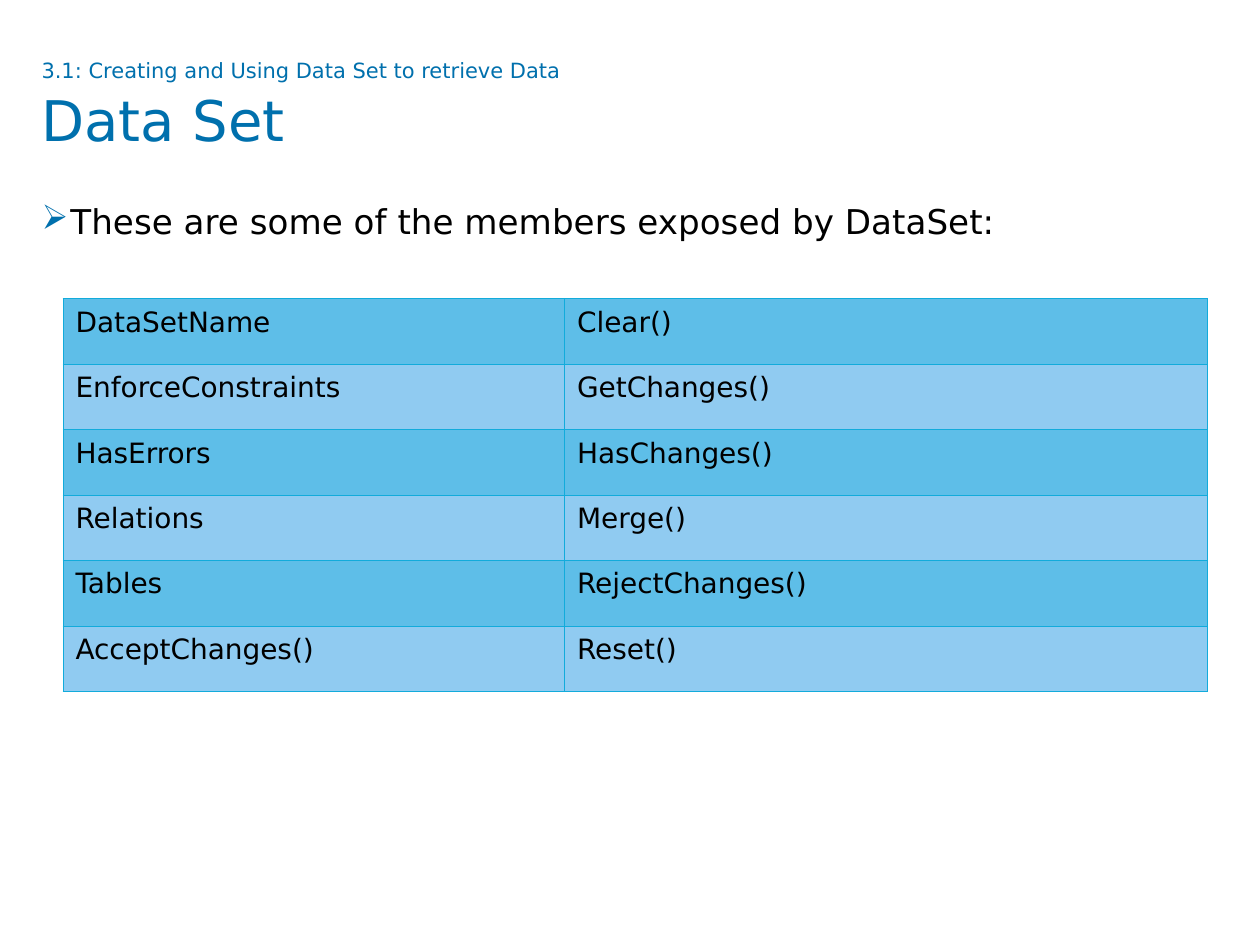
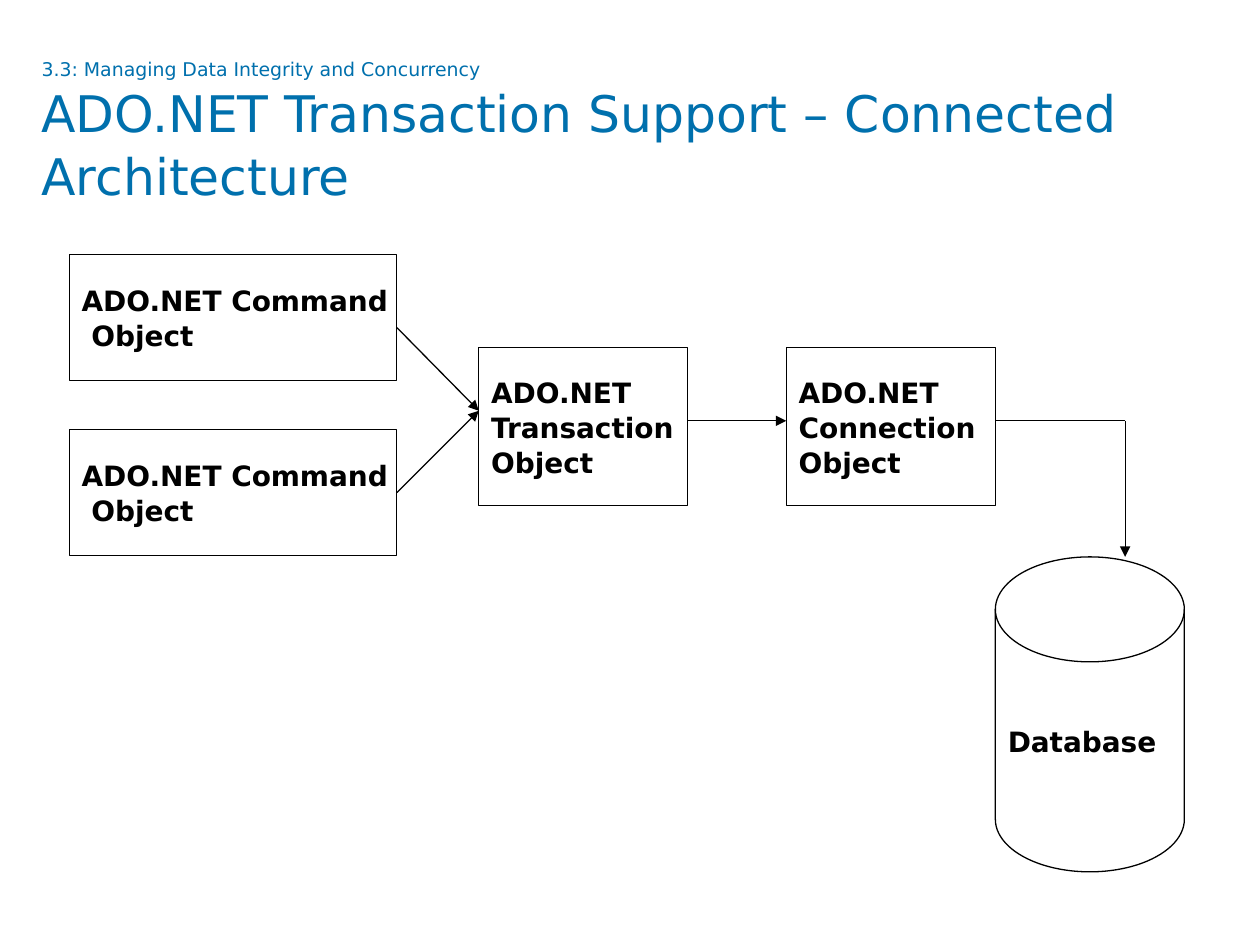
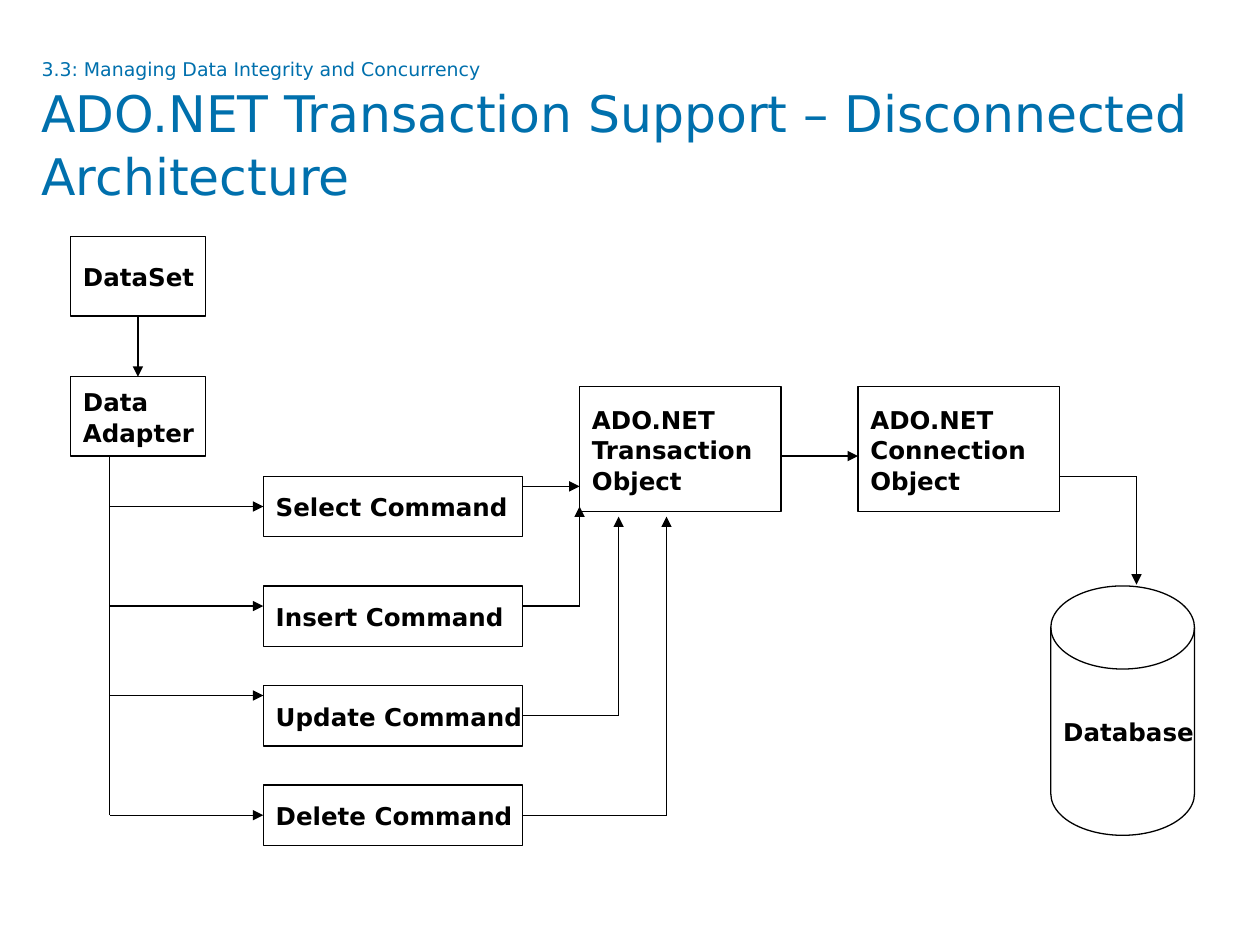
from lxml.etree import SubElement
from pptx import Presentation
from pptx.dml.color import RGBColor
from pptx.enum.shapes import MSO_CONNECTOR, MSO_SHAPE
from pptx.enum.text import MSO_ANCHOR, PP_ALIGN
from pptx.oxml.ns import qn
from pptx.util import Inches, Pt

FONT = "DejaVu Sans"
BLACK, WHITE, TITLE_BLUE = "000000", "FFFFFF", "0070AD"
BORDER_BLUE, ROW_DARK, ROW_LIGHT = "12ABDB", "5EBEE8", "90CBF1"
LINE_WIDTH = Pt(0.75)
LINE_SPACING = 1.04
TOP, LEFT, BOTTOM, RIGHT = range(4)  # connection sites


def color(hex_string):
    return RGBColor.from_string(hex_string)


class Deck:
    def __init__(self):
        self.presentation = Presentation()
        self.presentation.slide_width = Inches(10)
        self.presentation.slide_height = Inches(7.5)
        self.slide = None

    def style_font(self, font, size, hex_color=BLACK, bold=False):
        font.name, font.size, font.bold = FONT, Pt(size), bold
        font.color.rgb = color(hex_color)

    def text_frame(self, left, top, width, height):
        box = self.slide.shapes.add_textbox(
            Inches(left), Inches(top), Inches(width), Inches(height))
        frame = box.text_frame
        frame.word_wrap = True
        frame.margin_left = frame.margin_right = 0
        frame.margin_top = frame.margin_bottom = 0
        return frame

    def new_slide(self, section, title, section_size, title_size):
        """Add a blank slide with its section line and title."""
        self.slide = self.presentation.slides.add_slide(
            self.presentation.slide_layouts[6])
        paragraph = self.text_frame(0.33, 0.45, 9.33, 0.94).paragraphs[0]
        paragraph.line_spacing = LINE_SPACING
        section_run = paragraph.add_run()
        section_run.text = section
        self.style_font(section_run.font, section_size, TITLE_BLUE)
        paragraph.add_line_break()
        title_run = paragraph.add_run()
        title_run.text = title
        self.style_font(title_run.font, title_size, TITLE_BLUE)

    def bullet(self, text, left, top, width, height):
        paragraph = self.text_frame(left, top, width, height).paragraphs[0]
        paragraph.text = text
        paragraph.alignment = PP_ALIGN.JUSTIFY
        paragraph.line_spacing = 0.9
        paragraph.space_before = Pt(7.5)
        self.style_font(paragraph.font, 19.5)
        properties = paragraph._p.get_or_add_pPr()
        properties.set("marL", str(Inches(0.23)))
        properties.set("indent", str(-Inches(0.23)))
        bullet_color = properties.makeelement(qn("a:buClr"), {})
        SubElement(bullet_color, qn("a:srgbClr"), val=TITLE_BLUE)
        character = properties.makeelement(qn("a:buChar"), {"char": "➢"})
        default_run = properties.find(qn("a:defRPr"))
        default_run.addprevious(bullet_color)
        default_run.addprevious(character)

    def table(self, rows, left, top, column_widths, row_height):
        table = self.slide.shapes.add_table(
            len(rows), len(column_widths), Inches(left), Inches(top),
            Inches(sum(column_widths)), Inches(row_height * len(rows))).table
        table.first_row = table.horz_banding = False
        for column, width in zip(table.columns, column_widths):
            column.width = Inches(width)
        for row_index, values in enumerate(rows):
            for column_index, value in enumerate(values):
                cell = table.cell(row_index, column_index)
                cell.text = value
                paragraph = cell.text_frame.paragraphs[0]
                paragraph.line_spacing = LINE_SPACING
                self.style_font(paragraph.font, 16)
                self.cell_borders(cell)
                cell.fill.solid()
                cell.fill.fore_color.rgb = color(
                    ROW_LIGHT if row_index % 2 else ROW_DARK)

    def cell_borders(self, cell):
        properties = cell._tc.get_or_add_tcPr()
        for side in ("a:lnL", "a:lnR", "a:lnT", "a:lnB"):
            border = SubElement(properties, qn(side), w=str(Pt(0.5)))
            fill = SubElement(border, qn("a:solidFill"))
            SubElement(fill, qn("a:srgbClr"), val=BORDER_BLUE)

    def box(self, lines, left, top, width, height, size,
            preset=MSO_SHAPE.RECTANGLE):
        """Add an outlined shape with one bold paragraph per line."""
        shape = self.slide.shapes.add_shape(
            preset, Inches(left), Inches(top), Inches(width), Inches(height))
        shape.shadow.inherit = False
        shape.fill.solid()
        shape.fill.fore_color.rgb = color(WHITE)
        shape.line.color.rgb = color(BLACK)
        shape.line.width = LINE_WIDTH
        frame = shape.text_frame
        frame.word_wrap = False
        frame.vertical_anchor = MSO_ANCHOR.MIDDLE
        frame.text = "\n".join(lines)
        for paragraph in frame.paragraphs:
            paragraph.alignment = PP_ALIGN.LEFT
            paragraph.line_spacing = LINE_SPACING
            self.style_font(paragraph.font, size, bold=True)
        return shape

    def database(self, left, top, width, height, size):
        self.box(["Database"], left, top, width, height, size,
                 MSO_SHAPE.FLOWCHART_MAGNETIC_DISK)

    def line(self, start, end, arrow=True, begin=None, finish=None):
        """Draw a line; begin and finish are optional (shape, site) joins."""
        connector = self.slide.shapes.add_connector(
            MSO_CONNECTOR.STRAIGHT, *(Inches(value) for value in start + end))
        connector.line.color.rgb = color(BLACK)
        connector.line.width = LINE_WIDTH
        if arrow:
            SubElement(connector.line._get_or_add_ln(), qn("a:tailEnd"),
                       type="triangle")
        SubElement(connector._element.spPr, qn("a:effectLst"))
        if begin:
            connector.begin_connect(*begin)
        if finish:
            connector.end_connect(*finish)

    def elbow(self, start, corner, end, begin=None):
        self.line(start, corner, arrow=False, begin=begin)
        self.line(corner, end)


def add_members_slide(deck):
    deck.new_slide("3.1: Creating and Using Data Set to retrieve Data",
                   "Data Set", 12, 32)
    deck.bullet("These are some of the members exposed by DataSet:",
                0.33, 1.63, 9.34, 5.08)
    members = [
        ("DataSetName", "Clear()"),
        ("EnforceConstraints", "GetChanges()"),
        ("HasErrors", "HasChanges()"),
        ("Relations", "Merge()"),
        ("Tables", "RejectChanges()"),
        ("AcceptChanges()", "Reset()"),
    ]
    deck.table(members, 0.5, 2.37, (3.98, 5.1), 0.52)


def add_transaction_slide(deck, architecture):
    deck.new_slide("3.3: Managing Data Integrity and Concurrency",
                   f"ADO.NET Transaction Support – {architecture} Architecture",
                   10.8, 28.8)


def add_connected_slide(deck):
    add_transaction_slide(deck, "Connected")

    # Objects
    for top in (2.02, 3.41):
        deck.box(["ADO.NET Command", " Object"], 0.55, top, 2.6, 1, 16)
    for name, left in (("Transaction", 3.8), ("Connection", 6.24)):
        deck.box(["ADO.NET", name, "Object"], left, 2.76, 1.66, 1.25, 16)
    deck.database(7.9, 4.42, 1.5, 2.5, 16)

    # Flow
    for command_y in (2.6, 3.91):
        deck.line((3.15, command_y), (3.8, 3.26))
    deck.line((5.46, 3.34), (6.24, 3.34))
    deck.elbow((7.9, 3.34), (8.93, 3.34), (8.93, 4.42))


def add_disconnected_slide(deck):
    add_transaction_slide(deck, "Disconnected")

    # Objects
    data_set = deck.box(["DataSet"], 0.56, 1.88, 1.07, 0.63, 14)
    adapter = deck.box(["Data", "Adapter"], 0.56, 2.99, 1.07, 0.63, 14)
    for name, left in (("Transaction", 4.6), ("Connection", 6.81)):
        deck.box(["ADO.NET", name, "Object"], left, 3.07, 1.6, 0.99, 14)
    deck.database(8.34, 4.65, 1.14, 1.98, 14)
    command_tops = {"Select": 3.78, "Insert": 4.65, "Update": 5.44, "Delete": 6.23}
    commands = {
        name: deck.box([f"{name} Command"], 2.09, top, 2.06, 0.48, 14)
        for name, top in command_tops.items()}

    # Adapter to commands
    deck.line((1.1, 2.51), (1.1, 2.99), begin=(data_set, BOTTOM),
              finish=(adapter, TOP))
    bus_x = 0.87
    deck.line((bus_x, 3.62), (bus_x, 6.47), arrow=False)
    for name, y in (("Select", 4.02), ("Insert", 4.81),
                    ("Update", 5.52), ("Delete", 6.47)):
        centered = name in ("Select", "Delete")
        deck.line((bus_x, y), (2.09, y),
                  finish=(commands[name], LEFT) if centered else None)

    # Commands to transaction
    deck.line((4.15, 3.86), (4.6, 3.86))
    deck.elbow((4.15, 4.81), (4.6, 4.81), (4.6, 4.02))
    for name, x, y in (("Update", 4.91, 5.68), ("Delete", 5.29, 6.47)):
        deck.elbow((4.15, y), (x, y), (x, 4.1), begin=(commands[name], RIGHT))

    # Transaction to database
    deck.line((6.2, 3.62), (6.81, 3.62))
    deck.elbow((8.41, 3.78), (9.02, 3.78), (9.02, 4.64))


def main():
    deck = Deck()
    add_members_slide(deck)
    add_connected_slide(deck)
    add_disconnected_slide(deck)
    deck.presentation.save("out.pptx")


if __name__ == "__main__":
    main()
